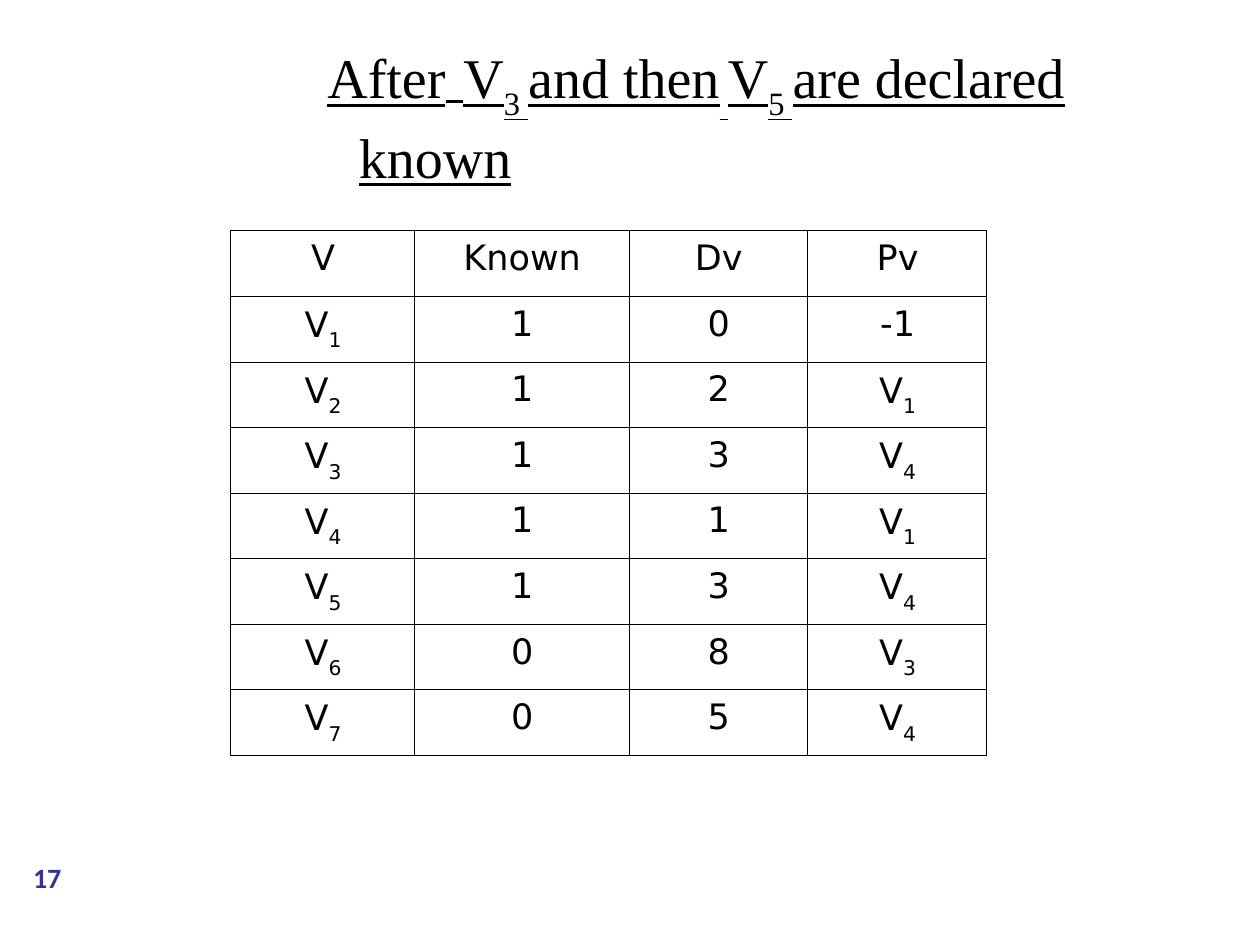
from lxml.etree import SubElement
from pptx import Presentation
from pptx.dml.color import RGBColor
from pptx.enum.shapes import MSO_SHAPE
from pptx.enum.text import MSO_ANCHOR, PP_ALIGN
from pptx.oxml.ns import qn
from pptx.util import Inches, Pt

WIDTH, HEIGHT = Inches(10), Inches(7.5)
BLACK, WHITE, INDIGO = "000000", "FFFFFF", "333399"
SERIF, SANS = "Times New Roman", "DejaVu Sans"

TITLE = [
    ("After", SERIF, False),
    (" ", SANS, False),
    ("V", SERIF, False),
    ("3 ", SERIF, True),
    ("and then", SERIF, False),
    (" ", SERIF, True),
    ("V", SERIF, False),
    ("5 ", SERIF, True),
    ("are declared known", SERIF, False),
]
COLUMN_SHARES = [0.146, 0.17, 0.142, 0.142]
ROW_SHARE = 0.0694
HEADINGS = ["V", "Known", "Dv", "Pv"]
VERTICES = [
    ["V1", "1", "0", "-1"],
    ["V2", "1", "2", "V1"],
    ["V3", "1", "3", "V4"],
    ["V4", "1", "1", "V1"],
    ["V5", "1", "3", "V4"],
    ["V6", "0", "8", "V3"],
    ["V7", "0", "5", "V4"],
]


def colour(code):
    return RGBColor.from_string(code)


def area(left, top, width, height):
    return [int(WIDTH * left), int(HEIGHT * top), int(WIDTH * width), int(HEIGHT * height)]


def add_run(paragraph, text, face, size, code=BLACK, subscript=False):
    run = paragraph.add_run()
    run.text = text
    run.font.name, run.font.size = face, Pt(size)
    run.font.color.rgb = colour(code)
    if subscript:
        run._r.get_or_add_rPr().set("baseline", "-30000")
    return run


def set_indent(paragraph, margin, first_line):
    properties = paragraph._p.get_or_add_pPr()
    properties.set("marL", str(Inches(margin)))
    properties.set("indent", str(Inches(first_line)))


def add_page_number(slide, number):
    badge = slide.shapes.add_shape(MSO_SHAPE.OVAL, *area(0, 0.907, 0.075, 0.044))
    badge.shadow.inherit = False
    badge.fill.solid()
    badge.fill.fore_color.rgb = colour(WHITE)
    badge.line.color.rgb = colour(WHITE)
    badge.line.width = Pt(2)
    frame = badge.text_frame
    frame.margin_left = frame.margin_right = frame.margin_top = frame.margin_bottom = 0
    frame.vertical_anchor = MSO_ANCHOR.MIDDLE
    paragraph = frame.paragraphs[0]
    paragraph.alignment = PP_ALIGN.CENTER
    add_run(paragraph, number, "Calibri", 16, INDIGO).font.bold = True


def add_title(slide, pieces):
    frame = slide.shapes.add_textbox(*area(0.05, 0.028, 0.9, 0.19)).text_frame
    frame.word_wrap = True
    frame.vertical_anchor = MSO_ANCHOR.MIDDLE
    paragraph = frame.paragraphs[0]
    set_indent(paragraph, 2.25, -0.25)
    for text, face, subscript in pieces:
        add_run(paragraph, text, face, 32, subscript=subscript).font.underline = True


def draw_borders(cell):
    properties = cell._tc.get_or_add_tcPr()
    for side in ("lnL", "lnR", "lnT", "lnB"):
        border = SubElement(properties, qn(f"a:{side}"), w=str(Pt(0.23)))
        SubElement(SubElement(border, qn("a:solidFill")), qn("a:srgbClr"), val=BLACK)


def fill_cell(cell, value, is_vertex):
    cell.margin_top = Inches(0.07)
    draw_borders(cell)
    cell.fill.background()
    paragraph = cell.text_frame.paragraphs[0]
    paragraph.alignment = PP_ALIGN.CENTER
    paragraph.line_spacing = 0.96
    set_indent(paragraph, 0.38, -0.37)
    if is_vertex:
        add_run(paragraph, value[0], SANS, 20)
        add_run(paragraph, value[1:], SANS, 20, subscript=True)
    else:
        add_run(paragraph, value, SANS, 20)


def add_vertex_table(slide, headings, vertices):
    rows = [headings] + vertices
    bounds = area(0.183, 0.244, sum(COLUMN_SHARES), ROW_SHARE * len(rows))
    table = slide.shapes.add_table(len(rows), len(headings), *bounds).table
    table.first_row = table.horz_banding = False
    for column, share in zip(table.columns, COLUMN_SHARES):
        column.width = int(WIDTH * share)
    for r, values in enumerate(rows):
        table.rows[r].height = int(HEIGHT * ROW_SHARE)
        for c, value in enumerate(values):
            fill_cell(table.cell(r, c), value, r > 0 and value.startswith("V"))


def main():
    deck = Presentation()
    deck.slide_width, deck.slide_height = WIDTH, HEIGHT
    slide = deck.slides.add_slide(deck.slide_layouts[6])
    add_page_number(slide, "17")
    add_title(slide, TITLE)
    add_vertex_table(slide, HEADINGS, VERTICES)
    deck.save("out.pptx")


if __name__ == "__main__":
    main()
